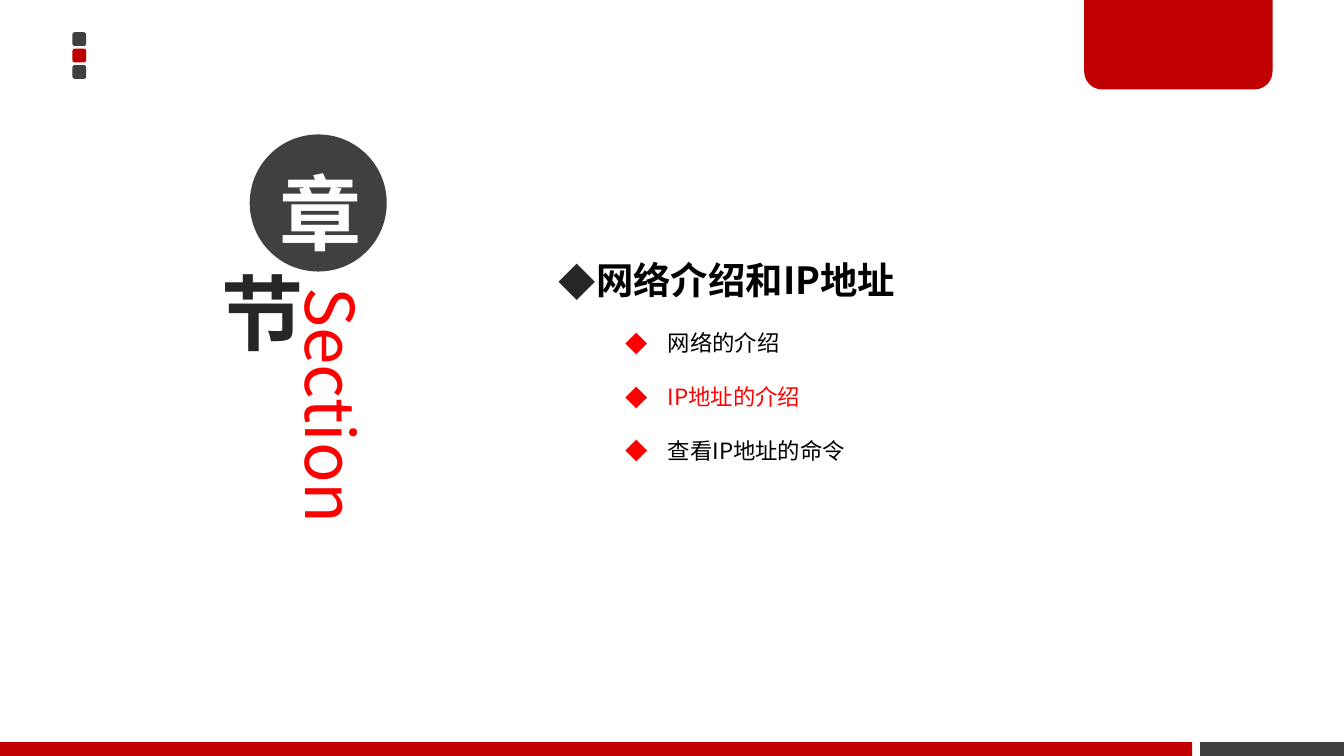
from dataclasses import dataclass

from lxml import etree
from pptx import Presentation
from pptx import util as u
from pptx.dml.color import RGBColor
from pptx.enum import shapes, text
from pptx.oxml import ns

RED = RGBColor(0xC0, 0x00, 0x00)
BRIGHT_RED = RGBColor(0xFF, 0x00, 0x00)
GREY = RGBColor(0x40, 0x40, 0x40)
INK = RGBColor(0x26, 0x26, 0x26)
BLACK = RGBColor(0x00, 0x00, 0x00)
WHITE = RGBColor(0xFF, 0xFF, 0xFF)
FONT = "Noto Sans CJK SC"
KIND = shapes.MSO_SHAPE


@dataclass(frozen=True)
class Box:
    """A rectangle in centimetres."""
    left: float
    top: float
    width: float
    height: float

    def emu(self) -> tuple:
        return tuple(u.Cm(v) for v in (self.left, self.top, self.width, self.height))


@dataclass(frozen=True)
class Style:
    size: float
    color: RGBColor
    bold: bool = False


@dataclass(frozen=True)
class Level:
    """Outline level: text margin and hanging indent in centimetres."""
    number: int
    margin: float
    hanging: float
    bullet_color: RGBColor


@dataclass(frozen=True)
class Item:
    label: str
    level: Level
    style: Style


CHAPTER = Level(0, 0.65, 0.65, INK)
TOPIC = Level(1, 2.06, 0.79, BRIGHT_RED)
OUTLINE = [
    Item("网络介绍和IP地址", CHAPTER, Style(20, BLACK, True)),
    Item("网络的介绍", TOPIC, Style(12, BLACK)),
    Item("IP地址的介绍", TOPIC, Style(12, BRIGHT_RED)),
    Item("查看IP地址的命令", TOPIC, Style(12, BLACK)),
]


def add_block(s, kind, box: Box, fill: RGBColor | None):
    sp = s.shapes.add_shape(kind, *box.emu())
    sp.shadow.inherit = False
    sp.line.fill.background()
    if fill is None:
        sp.fill.background()
    else:
        sp.fill.solid()
        sp.fill.fore_color.rgb = fill
    return sp


def set_margins(tf, bottom: float = 0.1) -> None:
    tf.margin_left = tf.margin_right = u.Cm(0.18)
    tf.margin_top, tf.margin_bottom = u.Cm(0.1), u.Cm(bottom)


def write(p, label: str, style: Style) -> None:
    """Fill a paragraph, using the font for Latin and East Asian letters alike."""
    r = p.add_run()
    r.text = label
    font = p.font
    font.name, font.size, font.bold = FONT, u.Pt(style.size), style.bold
    font.color.rgb = style.color
    for props in (p._p.pPr.find(ns.qn("a:defRPr")), r._r.get_or_add_rPr()):
        etree.SubElement(props, ns.qn("a:ea"), typeface=FONT)


def add_bullet(p, level: Level) -> None:
    props = p._p.get_or_add_pPr()
    props.set("marL", str(u.Cm(level.margin)))
    props.set("indent", str(-u.Cm(level.hanging)))
    color = etree.SubElement(props, ns.qn("a:buClr"))
    etree.SubElement(color, ns.qn("a:srgbClr"), val=str(level.bullet_color))
    etree.SubElement(props, ns.qn("a:buFont"), typeface=FONT)
    etree.SubElement(props, ns.qn("a:buChar"), char="◆")


def add_character(s, label: str, box: Box, fill: RGBColor | None, color: RGBColor,
                  bottom: float = 0.1):
    """Draw one large character in a circle and return its paragraph."""
    tf = add_block(s, KIND.OVAL, box, fill).text_frame
    set_margins(tf, bottom)
    tf.word_wrap = True
    tf.vertical_anchor = text.MSO_ANCHOR.MIDDLE
    p = tf.paragraphs[0]
    p.alignment = text.PP_ALIGN.CENTER
    write(p, label, Style(44, color, True))
    return p


def add_decoration(s) -> None:
    for i, color in enumerate((GREY, RED, GREY)):
        add_block(s, KIND.ROUNDED_RECTANGLE, Box(1.37, 0.61 + 0.31 * i, 0.26, 0.26), color)
    add_block(s, KIND.RECTANGLE, Box(22.68, 14.02, 2.72, 0.26), GREY)
    tab = add_block(s, KIND.ROUND_2_SAME_RECTANGLE, Box(20.49, 0, 3.56, 1.69), RED)
    tab.adjustments[0], tab.adjustments[1] = 0, 0.2
    add_block(s, KIND.RECTANGLE, Box(0, 14.02, 22.53, 0.26), RED)


def add_section_title(s) -> None:
    tf = s.shapes.add_textbox(*Box(5.44, 5.33, 1.78, 7.34).emu()).text_frame
    set_margins(tf)
    tf.word_wrap = True
    tf._txBody.bodyPr.set("vert", "vert")
    write(tf.paragraphs[0], "Section", Style(36, BRIGHT_RED))
    p = add_character(s, "章", Box(4.72, 2.54, 2.59, 2.59), GREY, WHITE, 0.38)
    p.line_spacing = u.Pt(70)
    add_character(s, "节", Box(3.71, 4.88, 2.03, 2.03), None, INK)


def add_outline(s, items: list[Item]) -> None:
    tf = s.shapes.add_textbox(*Box(10.31, 3.89, 11.99, 6.93).emu()).text_frame
    tf.word_wrap = True
    for i, item in enumerate(items):
        p = tf.add_paragraph() if i else tf.paragraphs[0]
        p.level = item.level.number
        p.line_spacing = 2.0
        add_bullet(p, item.level)
        write(p, item.label, item.style)


def main() -> None:
    prs = Presentation()
    prs.slide_width, prs.slide_height = u.Cm(25.4), u.Cm(14.28)
    s = prs.slides.add_slide(prs.slide_layouts[6])
    add_decoration(s)
    add_section_title(s)
    add_outline(s, OUTLINE)
    prs.save("out.pptx")


if __name__ == "__main__":
    main()
